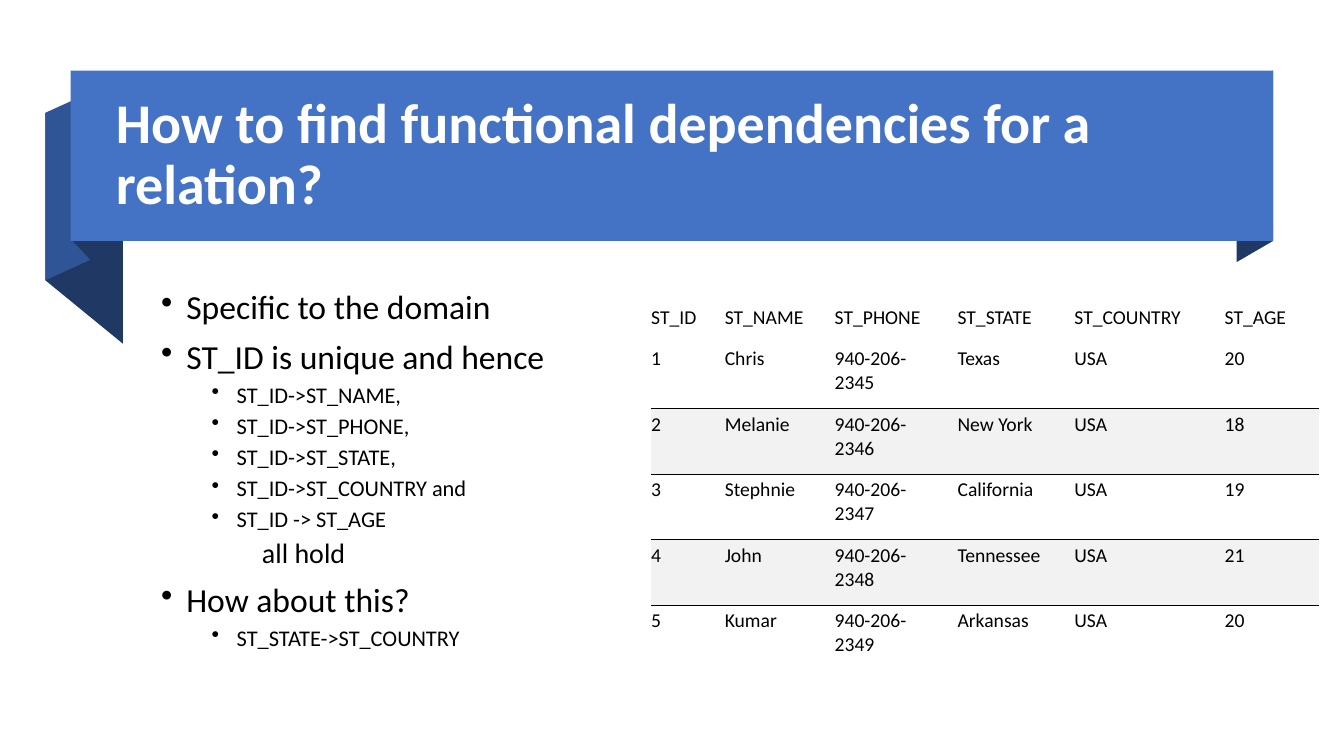
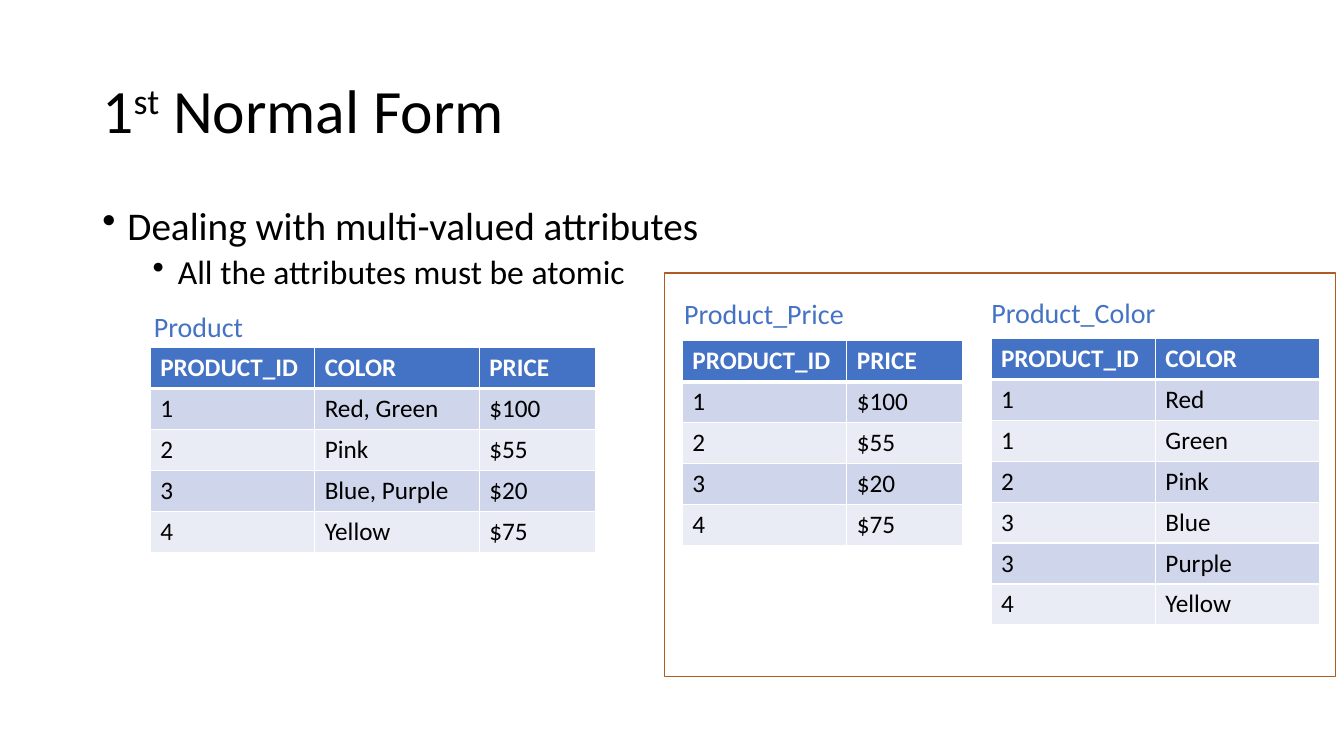
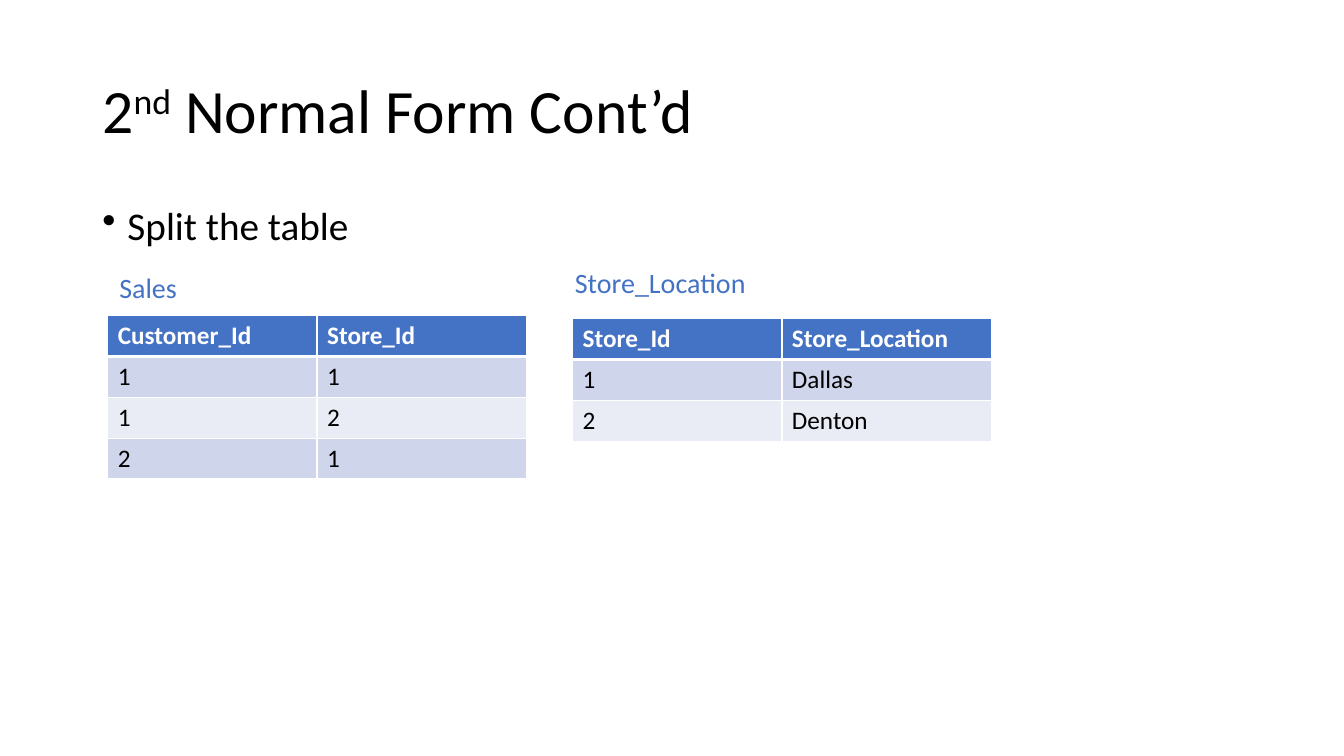
from lxml import etree
from pptx import Presentation
from pptx.dml.color import RGBColor
from pptx.enum.shapes import MSO_SHAPE
from pptx.enum.text import MSO_ANCHOR, MSO_AUTO_SIZE, PP_ALIGN
from pptx.oxml.ns import qn
from pptx.util import Pt

RECTANGLE = MSO_SHAPE.RECTANGLE
TOP, MIDDLE, BOTTOM = MSO_ANCHOR.TOP, MSO_ANCHOR.MIDDLE, MSO_ANCHOR.BOTTOM
LEFT, CENTER = PP_ALIGN.LEFT, PP_ALIGN.CENTER
NO_AUTOFIT, GROW = MSO_AUTO_SIZE.NONE, MSO_AUTO_SIZE.SHAPE_TO_FIT_TEXT

COLORS = {
    "black": "000000", "white": "FFFFFF", "blue": "4472C4",
    "mid_blue": "2F5597", "navy": "203864", "frame": "AF5C24",
    "band_dark": "CFD5EA", "band_light": "E9EBF5", "stripe": "F2F2F2",
}
FONT = "Calibri"
TITLE_ONLY = 5
PLAIN_TABLE_STYLE = "{2D5ABB26-0587-4C30-8999-92F81FD0307C}"
TITLE_BOX = (66, 28.8, 828, 104.4)
BODY_BOX = (66, 144, 828, 342.7)
BULLET_LEVELS = [(18, -18, 10, True), (54, -18, 5, True), (72, 0, 5, False)]


def rgb(name):
    return RGBColor.from_string(COLORS[name])


def points(*values):
    return [Pt(value) for value in values]


def format_runs(paragraph, size, color="black", bold=False):
    for run in paragraph.runs:
        run.font.name = FONT
        run.font.size = Pt(size)
        run.font.bold = bold
        run.font.color.rgb = rgb(color)


def paint(shape, color):
    shape.fill.solid()
    shape.fill.fore_color.rgb = rgb(color)
    shape.line.fill.background()
    shape.shadow.inherit = False


def add_title(slide, box, parts, size=44, color="black", bold=False):
    title = slide.shapes.title
    slide.shapes.element.append(title.element)
    title.left, title.top, title.width, title.height = points(*box)
    frame = title.text_frame
    frame.word_wrap = True
    frame.auto_size = NO_AUTOFIT
    frame.vertical_anchor = MIDDLE
    paragraph = frame.paragraphs[0]
    paragraph.alignment = LEFT
    paragraph.line_spacing = 0.9
    for text, raised in parts:
        run = paragraph.add_run()
        run.text = text
        if raised:
            run.font._element.set("baseline", "30000")
    format_runs(paragraph, size, color, bold)


def add_bullets(slide, box, items, anchor=TOP):
    frame = slide.shapes.add_textbox(*points(*box)).text_frame
    frame.word_wrap = True
    frame.vertical_anchor = anchor
    frame.text = "\n".join(text for text, level, size in items)
    for paragraph, (text, level, size) in zip(frame.paragraphs, items):
        margin, indent, space, bulleted = BULLET_LEVELS[level]
        paragraph.level = level
        paragraph.line_spacing = 0.9
        paragraph.space_before = Pt(space)
        format_runs(paragraph, size)
        properties = paragraph._p.get_or_add_pPr()
        properties.set("marL", str(Pt(margin)))
        properties.set("indent", str(Pt(indent)))
        if bulleted:
            etree.SubElement(properties, qn("a:buChar")).set("char", "•")


def set_borders(cell, borders):
    properties = cell._tc.get_or_add_tcPr()
    for side in "LRTB":
        if side in borders:
            color, width = borders[side]
            line = etree.SubElement(properties, qn("a:ln" + side))
            line.set("w", str(Pt(width)))
            fill = etree.SubElement(line, qn("a:solidFill"))
            etree.SubElement(fill, qn("a:srgbClr")).set("val", COLORS[color])


def add_grid(slide, left, top, widths, heights, rows, format_cell):
    graphic_frame = slide.shapes.add_table(
        len(rows), len(widths), *points(left, top, sum(widths), sum(heights)))
    for style in graphic_frame.element.iter(qn("a:tableStyleId")):
        style.text = PLAIN_TABLE_STYLE
    table = graphic_frame.table
    for column, width in zip(table.columns, widths):
        column.width = Pt(width)
    for row, height in zip(table.rows, heights):
        row.height = Pt(height)
    for row_index, values in enumerate(rows):
        for column_index, value in enumerate(values):
            cell = table.cell(row_index, column_index)
            cell.text_frame.text = value
            format_cell(cell, row_index)


def format_student_cell(cell, row_index):
    format_runs(cell.text_frame.paragraphs[0], 14)
    cell.margin_left, cell.margin_right = 0, Pt(10)
    cell.margin_top, cell.margin_bottom = Pt(2.7), Pt(10)
    cell.vertical_anchor = TOP if row_index else BOTTOM
    if row_index in (1, 3):
        set_borders(cell, {"B": ("black", 0.75)})
    elif row_index in (2, 4):
        set_borders(cell, {"T": ("black", 0.75)})
        cell.fill.solid()
        cell.fill.fore_color.rgb = rgb("stripe")


def format_banded_cell(cell, row_index):
    header = row_index == 0
    format_runs(cell.text_frame.paragraphs[0], 18,
                "white" if header else "black", header)
    borders = dict.fromkeys("LRTB", ("white", 1))
    if header:
        borders["B"] = ("white", 3)
    elif row_index == 1:
        borders["T"] = ("white", 3)
    set_borders(cell, borders)
    band = "band_dark" if row_index % 2 else "band_light"
    cell.fill.solid()
    cell.fill.fore_color.rgb = rgb("blue" if header else band)


def add_relation(slide, left, top, name, name_offset, widths, rows):
    add_grid(slide, left, top, widths, [29.2] * len(rows), rows,
             format_banded_cell)
    across, up = name_offset
    label = slide.shapes.add_textbox(
        *points(left + across, top - up, 188.6, 31.7))
    frame = label.text_frame
    frame.word_wrap = True
    frame.auto_size = GROW
    frame.text = name
    frame.paragraphs[0].alignment = CENTER
    format_runs(frame.paragraphs[0], 20, "blue")


def add_fold(slide, left_edge, right_edge, height, color):
    (x0, y0), (x1, y1) = left_edge, right_edge
    corners = [(x0, y0), (x1, y1), (x1, y1 + height), (x0, y0 + height)]
    start, *others = [tuple(points(*corner)) for corner in corners]
    builder = slide.shapes.build_freeform(*start)
    builder.add_line_segments(others, close=True)
    paint(builder.convert_to_shape(), color)


def add_ribbon(slide, left, top, width, height):
    folds = [
        ((-18, 30.2), (37.4, 75.5), 119.6, "navy"),
        ((-18, 30.2), (13.7, 15.8), 119.6, "mid_blue"),
        ((0.7, 0), (13.7, 13.7), 121, "navy"),
        ((width - 26, 15.1), (width, 0), height, "navy"),
    ]
    for (x0, y0), (x1, y1), fold_height, color in folds:
        add_fold(slide, (left + x0, top + y0), (left + x1, top + y1),
                 fold_height, color)
    band = slide.shapes.add_shape(
        RECTANGLE, *points(left, top, width, height))
    paint(band, "blue")


def build_dependencies(slide):
    add_ribbon(slide, 50.4, 50.4, 859, 121.7)
    add_title(slide, (75.6, 63.4, 808.6, 95.8),
              [("How to find functional dependencies for a relation?", False)],
              40, "white", True)
    add_bullets(slide, (108, 195.8, 764.6, 280.8), [
        ("Specific to the domain", 0, 24),
        ("ST_ID is unique and hence", 0, 24),
        ("ST_ID->ST_NAME,", 1, 16),
        ("ST_ID->ST_PHONE,", 1, 16),
        ("ST_ID->ST_STATE,", 1, 16),
        ("ST_ID->ST_COUNTRY and", 1, 16),
        ("ST_ID -> ST_AGE", 1, 16),
        ("all hold", 2, 20),
        ("How about this?", 0, 24),
        ("ST_STATE->ST_COUNTRY", 1, 16),
    ], MIDDLE)
    students = [
        ("ST_ID", "ST_NAME", "ST_PHONE", "ST_STATE", "ST_COUNTRY", "ST_AGE"),
        ("1", "Chris", "940-206-2345", "Texas", "USA", "20"),
        ("2", "Melanie", "940-206-2346", "New York", "USA", "18"),
        ("3", "Stephnie", "940-206-2347", "California", "USA", "19"),
        ("4", "John", "940-206-2348", "Tennessee", "USA", "21"),
        ("5", "Kumar", "940-206-2349", "Arkansas", "USA", "20"),
    ]
    add_grid(slide, 465.1, 195.8, [52.6, 78.5, 87.8, 83.5, 107.3, 67.7],
             [49.5] + [46.8] * 5, students, format_student_cell)


def build_first_form(slide):
    add_title(slide, TITLE_BOX,
              [("1", False), ("st", True), (" Normal Form", False)])
    add_bullets(slide, BODY_BOX, [
        ("Dealing with multi-valued attributes", 0, 28),
        ("All the attributes must be atomic", 1, 24),
    ])
    wide, narrow = 117.5, 83
    products = [
        ("PRODUCT_ID", "COLOR", "PRICE"),
        ("1", "Red, Green", "$100"),
        ("2", "Pink", "$55"),
        ("3", "Blue, Purple", "$20"),
        ("4", "Yellow", "$75"),
    ]
    prices = [(product, price) for product, color, price in products]
    colors = [(product, color) for product, listed, price in products
              for color in listed.split(", ")]
    add_relation(slide, 107.3, 248.4, "Product", (-59.8, 31),
                 [wide, wide, narrow], products)
    add_relation(slide, 487.4, 243.4, "Product_Price", (-36, 35.3),
                 [wide, narrow], prices)
    add_relation(slide, 707.8, 241.9, "Product_Color", (-35.3, 34.5),
                 [wide, wide], colors)
    frame = slide.shapes.add_shape(
        RECTANGLE, *points(474.5, 195.1, 479.5, 288))
    frame.fill.background()
    frame.line.color.rgb = rgb("frame")
    frame.line.width = Pt(1)
    frame.shadow.inherit = False


def build_second_form(slide):
    add_title(slide, TITLE_BOX,
              [("2", False), ("nd", True), (" Normal Form Cont’d", False)])
    add_bullets(slide, BODY_BOX, [("Split the table", 0, 28)])
    widths = [149.5, 149.5]
    add_relation(slide, 77, 225.4, "Sales", (-65.5, 36), widths, [
        ("Customer_Id", "Store_Id"), ("1", "1"), ("1", "2"), ("2", "1")])
    add_relation(slide, 409, 227.5, "Store_Location", (-31.7, 41.7), widths, [
        ("Store_Id", "Store_Location"), ("1", "Dallas"), ("2", "Denton")])


def main():
    presentation = Presentation()
    presentation.slide_width, presentation.slide_height = points(960, 540)
    layout = presentation.slide_layouts[TITLE_ONLY]
    for build in (build_dependencies, build_first_form, build_second_form):
        build(presentation.slides.add_slide(layout))
    presentation.save("out.pptx")


if __name__ == "__main__":
    main()
